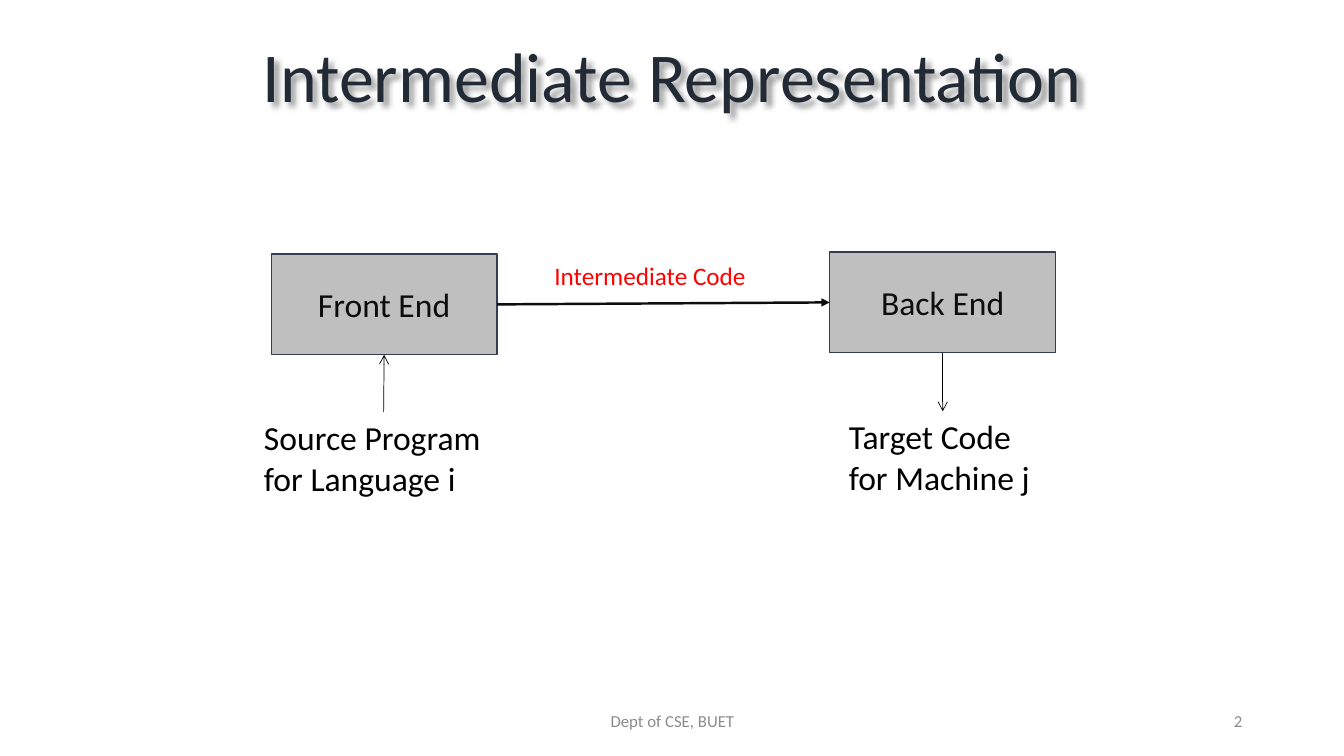
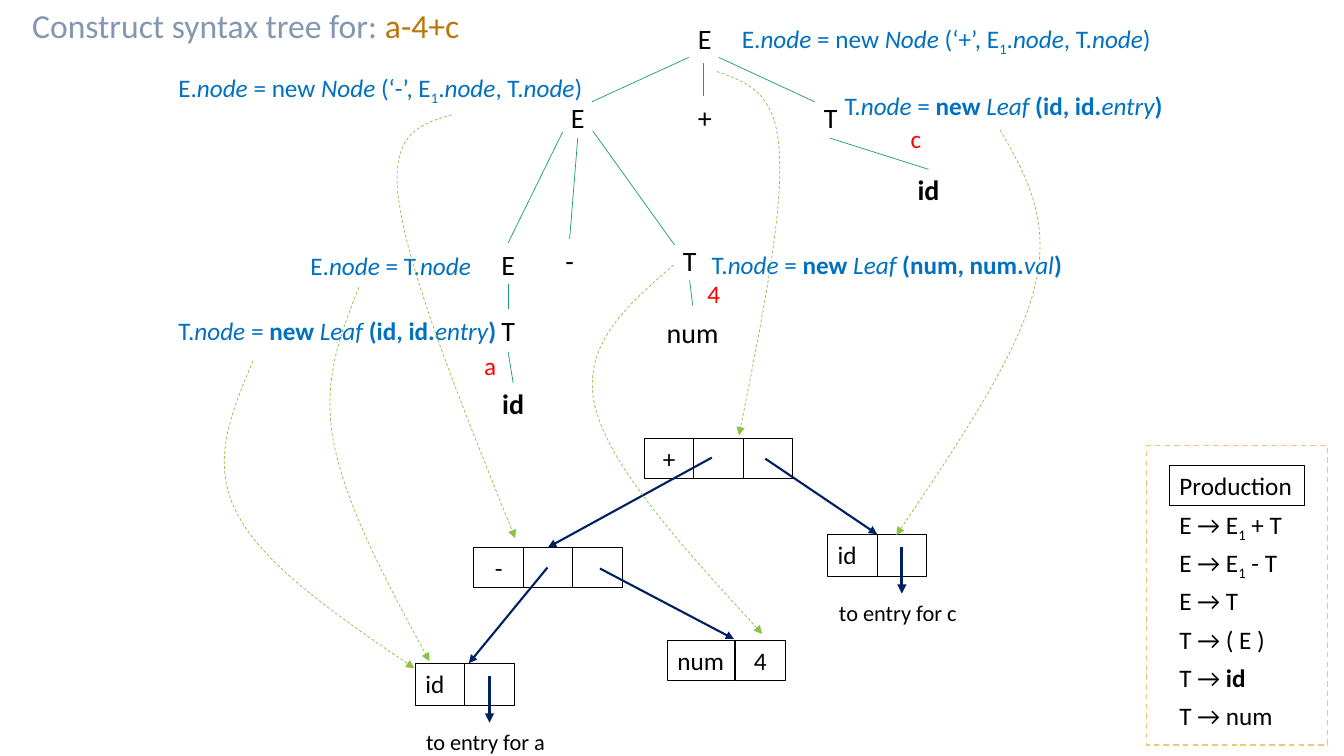
from dataclasses import dataclass

from lxml.etree import SubElement
from pptx import Presentation
from pptx.dml.color import RGBColor
from pptx.enum.dml import MSO_LINE
from pptx.enum.shapes import MSO_CONNECTOR, MSO_SHAPE
from pptx.enum.text import MSO_ANCHOR, PP_ALIGN
from pptx.oxml.ns import qn
from pptx.util import Inches, Pt


@dataclass(frozen=True)
class Theme:
    font: str = "Calibri"
    title: str = "222A35"
    footer: str = "8C8C8C"
    box: str = "BFBFBF"
    box_line: str = "333F50"
    box_text: str = "0D0D0D"
    black: str = "000000"
    red: str = "FF0000"
    heading: str = "8497B0"
    expression: str = "BC770B"
    rule: str = "0070C0"
    tree: str = "1D9A78"
    pointer: str = "002060"
    curve: str = "8BC145"
    frame: str = "F7C475"
    title_size: int = 50
    large: int = 24
    node_size: int = 20
    body: int = 18
    caption: int = 16
    small: int = 12


T = Theme()
LEFT, CENTER, RIGHT = PP_ALIGN.LEFT, PP_ALIGN.CENTER, PP_ALIGN.RIGHT
MIDDLE = MSO_ANCHOR.MIDDLE

# Markup in texts: _italic_, *bold*, ~subscript~
LEAF_ID = "T._node _= *new *_Leaf_* (id, id.*_entry_*)*"
LEAF_NUM = "T._node _= *new *_Leaf_* (num, num.*_val_*)*"
NEW_NODE = "E._node _= new _Node_ (‘{}’, E~1~._node_, T._node_)"

# text, centre x, centre y
TREE_NODES = [
    ("E", 6.99, 0.38), ("E", 5.73, 1.16), ("+", 6.99, 1.16), ("T", 8.24, 1.16),
    ("E", 5.04, 2.62), ("-", 5.65, 2.58), ("T", 6.84, 2.58), ("T", 5.04, 3.28),
    ("*id*", 5.09, 4.0), ("num", 6.87, 3.3), ("*id*", 9.21, 1.88),
]
TREE_EDGES = [
    ((6.83, 0.57), (5.87, 1.01)), ((6.98, 0.63), (6.98, 0.95)),
    ((7.13, 0.57), (8.08, 1.01)), ((5.58, 1.31), (5.04, 2.41)),
    ((5.73, 1.37), (5.65, 2.37)), ((5.88, 1.3), (6.69, 2.43)),
    ((5.04, 3.49), (5.09, 3.8)), ((5.04, 2.82), (5.04, 3.07)),
    ((6.84, 2.78), (6.87, 3.03)), ((8.23, 1.37), (9.21, 1.68)),
]
# text, left, top, width
LEXEMES = [("c", 8.67, 1.17, 0.83), ("4", 6.67, 2.71, 0.82), ("a", 4.22, 3.43, 1.28)]
RULES = [
    (LEAF_ID, 1.67, 3.08, 3.53),
    ("E._node _= T._node_", 2.98, 2.43, 1.85),
    (NEW_NODE.format("-"), 1.67, 0.67, 4.33),
    (LEAF_ID, 8.28, 0.85, 3.53),
    (NEW_NODE.format("+"), 7.26, 0.18, 4.33),
    (LEAF_NUM, 6.96, 2.42, 4.21),
]
# left, top, height, cells of (text, width, alignment)
FIELD = 0.49
EMPTY = ("", FIELD, CENTER)
RECORDS = {
    "plus": (6.39, 4.35, 0.4, [("+", FIELD, CENTER), EMPTY, EMPTY]),
    "minus": (4.7, 5.43, 0.4, [("-", FIELD, CENTER), EMPTY, EMPTY]),
    "four": (6.62, 6.35, 0.4, [("num", 0.67, LEFT), ("4", 0.5, CENTER)]),
    "a": (4.12, 6.58, 0.42, [("id", FIELD, LEFT), EMPTY]),
    "c": (8.21, 5.3, 0.42, [("id", FIELD, LEFT), EMPTY]),
}
# start, end, record and cell whose top the arrow joins
POINTERS = [
    ((7.06, 4.54), (5.43, 5.43), ("minus", 1)),
    ((7.59, 4.55), (8.7, 5.3), None),
    ((5.43, 5.63), (4.65, 6.58), None),
    ((5.95, 5.64), (7.28, 6.34), None),
]
# start point, then two Bezier pieces of three points each
CURVES = [
    [(2.51, 3.58), (2.3, 4.08), (2.08, 4.58), (2.35, 5.09), (2.61, 5.6), (3.36, 6.12), (4.11, 6.63)],
    [(3.56, 2.85), (3.38, 3.31), (3.19, 3.77), (3.31, 4.39), (3.43, 5.01), (3.84, 5.79), (4.26, 6.56)],
    [(4.48, 1.14), (4.17, 1.23), (3.85, 1.32), (3.96, 2.02), (4.06, 2.72), (4.58, 4.03), (5.11, 5.34)],
    [(6.68, 2.63), (6.22, 3.03), (5.76, 3.42), (5.9, 4.03), (6.05, 4.64), (6.81, 5.47), (7.56, 6.29)],
    [(7.11, 0.71), (7.4, 0.81), (7.7, 0.91), (7.73, 1.51), (7.77, 2.11), (7.55, 3.22), (7.33, 4.32)],
    [(9.92, 1.29), (10.18, 1.74), (10.43, 2.19), (10.26, 2.86), (10.09, 3.53), (9.49, 4.42), (8.89, 5.31)],
]
PRODUCTIONS = ["Production", "E → E~1~ + T", "E → E~1~ - T", "E → T",
               "T → ( E )", "T → *id*", "T → num"]


def rgb(color):
    return RGBColor.from_string(color)


def add_runs(p, text, size, color):
    """Add marked-up text; each mark switches its format on or off."""
    on = {"_": False, "*": False, "~": False}
    part = ""
    for ch in text + "\0":
        if ch not in on and ch != "\0":
            part += ch
            continue
        if part:
            r = p.add_run()
            r.text = part
            r.font.name, r.font.size, r.font.color.rgb = T.font, Pt(size), rgb(color)
            r.font.italic, r.font.bold = on["_"], on["*"]
            if on["~"]:
                r._r.get_or_add_rPr().set("baseline", "-25000")
            part = ""
        if ch in on:
            on[ch] = not on[ch]


def write(sp, text, size, color, align=LEFT, anchor=MSO_ANCHOR.TOP, wrap=True):
    tf = sp.text_frame
    tf.word_wrap, tf.vertical_anchor = wrap, anchor
    for i, line in enumerate(text.split("\n")):
        p = tf.add_paragraph() if i else tf.paragraphs[0]
        p.alignment = align
        add_runs(p, line, size, color)
    return sp


def add_text(slide, text, at, size, color, **style):
    return write(slide.shapes.add_textbox(*map(Inches, at)), text, size, color, **style)


def add_box(slide, at, line=None, width=0.75, fill=None, kind=MSO_SHAPE.RECTANGLE):
    sp = slide.shapes.add_shape(kind, *map(Inches, at))
    sp.shadow.inherit = False
    if fill:
        sp.fill.solid()
        sp.fill.fore_color.rgb = rgb(fill)
    else:
        sp.fill.background()
    if line:
        sp.line.color.rgb, sp.line.width = rgb(line), Pt(width)
    else:
        sp.line.fill.background()
    return sp


def style_line(sp, color, width, arrow=None):
    sp.line.color.rgb, sp.line.width = rgb(color), Pt(width)
    if arrow:
        SubElement(sp.line._get_or_add_ln(), qn("a:tailEnd")).set("type", arrow)


def add_line(slide, start, end, color, width, arrow=None):
    sp = slide.shapes.add_connector(MSO_CONNECTOR.STRAIGHT, *map(Inches, (*start, *end)))
    style_line(sp, color, width, arrow)
    SubElement(sp._element.spPr, qn("a:effectLst"))
    return sp


def join(slide, first, first_side, last, last_side, width, color, arrow):
    sp = add_line(slide, (0, 0), (1, 1), color, width, arrow)
    sp.begin_connect(first, first_side)
    sp.end_connect(last, last_side)


def bezier(points, t):
    weights = ((1 - t) ** 3, 3 * t * (1 - t) ** 2, 3 * t * t * (1 - t), t ** 3)
    return tuple(sum(w * pt[axis] for w, pt in zip(weights, points)) for axis in (0, 1))


def add_curve(slide, points):
    """Size a freeform from sampled points, then give it true Bezier pieces."""
    pieces = [points[i:i + 4] for i in range(0, len(points) - 1, 3)]
    samples = [bezier(piece, n / 20) for piece in pieces for n in range(1, 21)]
    builder = slide.shapes.build_freeform(*map(Inches, points[0]))
    builder.add_line_segments([tuple(map(Inches, pt)) for pt in samples], close=False)
    sp = builder.convert_to_shape()
    outline = next(sp._element.iter(qn("a:path")))
    for segment in outline.findall(qn("a:lnTo")):
        outline.remove(segment)
    for piece in pieces:
        cubic = SubElement(outline, qn("a:cubicBezTo"))
        for x, y in piece[1:]:
            pt = SubElement(cubic, qn("a:pt"))
            pt.set("x", str(Inches(x) - sp.left))
            pt.set("y", str(Inches(y) - sp.top))
    sp.shadow.inherit = False
    sp.fill.background()
    sp.line.dash_style = MSO_LINE.DASH
    style_line(sp, T.curve, 0.5, "triangle")


def add_title(slide, text):
    sp = add_text(slide, text, (0.92, 0.16, 11.5, 1.27), T.title_size, T.title,
                  align=CENTER, anchor=MIDDLE)
    sp.text_frame.paragraphs[0].line_spacing = 0.9
    effects = SubElement(sp._element.spPr, qn("a:effectLst"))
    shadow = SubElement(effects, qn("a:outerShdw"), blurRad="50800", dist="38100",
                        dir="2700000", algn="tl", rotWithShape="0")
    black = SubElement(shadow, qn("a:srgbClr"), val=T.black)
    SubElement(black, qn("a:alpha"), val="40000")


def add_footer(slide, text, number):
    for label, left, width, align in ((text, 4.42, 4.5, CENTER), (number, 9.42, 3, RIGHT)):
        add_text(slide, label, (left, 6.95, width, 0.4), T.small, T.footer,
                 align=align, anchor=MIDDLE)


def add_record(slide, left, top, height, fields):
    cells = []
    for text, width, align in fields:
        sp = add_box(slide, (left, top, width, height), T.black)
        if align == LEFT:
            sp.text_frame.margin_right = 0
        if text:
            write(sp, text, T.body, T.black, align=align)
        cells.append(sp)
        left += width
    return cells


def build_overview(slide):
    add_title(slide, "Intermediate Representation")
    front, back = [
        write(add_box(slide, (left, top, 2.24, 1), T.box_line, 1, T.box),
              text, T.large, T.box_text, align=CENTER, anchor=MIDDLE)
        for text, left, top in (("Front End", 2.69, 2.52), ("Back End", 8.23, 2.5))]
    source, target = [
        add_text(slide, text, at, T.large, T.black, wrap=False)
        for text, at in (("Source Program\nfor Language i", (2.52, 4.09, 2.57, 0.91)),
                         ("Target Code\nfor Machine j", (8.32, 4.08, 2.06, 0.91)))]
    add_text(slide, "Intermediate Code", (5.4, 2.53, 2.2, 0.4), T.body, T.red, wrap=False)
    join(slide, front, 3, back, 1, 1.75, T.box_text, "triangle")
    join(slide, source, 0, front, 2, 0.5, T.black, "arrow")
    join(slide, back, 2, target, 0, 0.5, T.black, "arrow")
    add_footer(slide, "Dept of CSE, BUET", "2")


def build_syntax_tree(slide):
    heading = add_text(slide, "Construct syntax tree for:", (0.22, 0, 4.59, 0.5), T.large, T.heading)
    add_runs(heading.text_frame.paragraphs[0], " a-4+c", T.large, T.expression)

    for text, x, y in TREE_NODES:
        size = 0.42 if len(text) == 1 else 0.66
        sp = add_box(slide, (x - size / 2, y - 0.21, size, 0.42), kind=MSO_SHAPE.OVAL)
        tf = sp.text_frame
        tf.margin_left = tf.margin_right = tf.margin_top = tf.margin_bottom = 0
        write(sp, text, T.node_size, T.black, align=CENTER, anchor=MIDDLE, wrap=False)
    for start, end in TREE_EDGES:
        add_line(slide, start, end, T.tree, 0.5)

    for labels, color, align in ((LEXEMES, T.red, CENTER), (RULES, T.rule, LEFT)):
        for text, left, top, width in labels:
            add_text(slide, text, (left, top, width, 0.4), T.body, color, align=align)

    cells = {name: add_record(slide, *record) for name, record in RECORDS.items()}
    for start, end, target in POINTERS:
        sp = add_line(slide, start, end, T.pointer, 1.5, "triangle")
        if target:
            name, index = target
            sp.end_connect(cells[name][index], 0)
    for name in ("a", "c"):
        left, top = RECORDS[name][:2]
        x = left + 1.5 * FIELD
        add_line(slide, (x, top + 0.13), (x, top + 0.59), T.pointer, 2.25, "triangle")
        add_text(slide, f"to entry for {name}", (left - 0.18, top + 0.59, 1.75, 0.37),
                 T.caption, T.black, align=CENTER)

    for points in CURVES:
        add_curve(slide, points)

    for row, text in enumerate(PRODUCTIONS):
        sp = add_box(slide, (11.6, 4.62 + 0.38 * row, 1.34, 0.4), None if row else T.black)
        write(sp, text, T.body, T.black)
    add_box(slide, (11.37, 4.42, 1.8, 2.97), T.frame, 1).line.dash_style = MSO_LINE.DASH


def main():
    prs = Presentation()
    prs.slide_width, prs.slide_height = Inches(13.33), Inches(7.5)
    for build in (build_overview, build_syntax_tree):
        build(prs.slides.add_slide(prs.slide_layouts[6]))
    prs.save("out.pptx")


if __name__ == "__main__":
    main()
